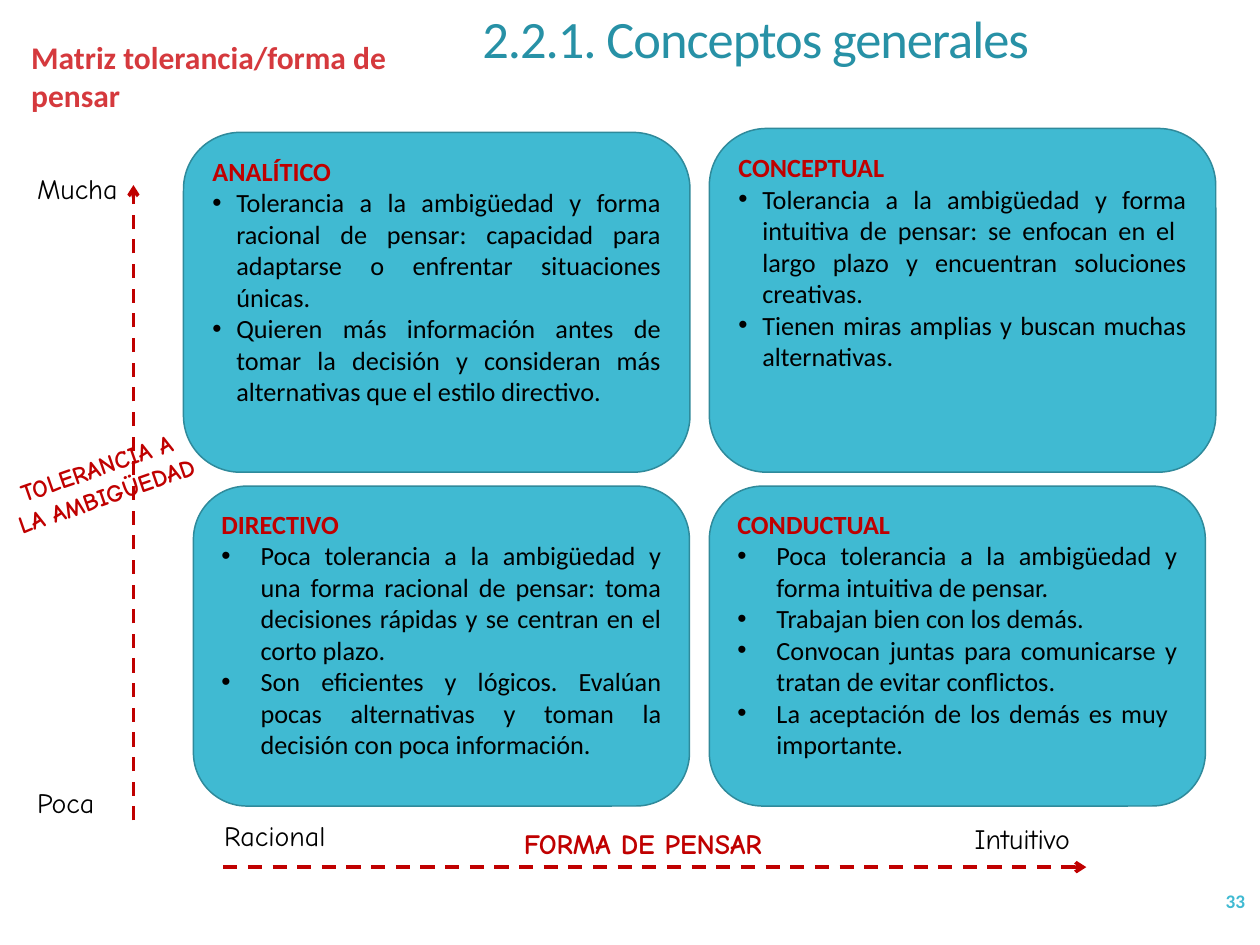
from lxml.etree import SubElement
from pptx import Presentation
from pptx.dml.color import RGBColor
from pptx.enum.dml import MSO_LINE
from pptx.enum.shapes import MSO_CONNECTOR, MSO_SHAPE
from pptx.enum.text import MSO_ANCHOR, PP_ALIGN
from pptx.oxml.ns import qn
from pptx.util import Cm, Pt

TEAL = RGBColor(0x40, 0xBA, 0xD2)
EDGE = RGBColor(0x2F, 0x8A, 0x9B)
DEEP = RGBColor(0x27, 0x91, 0xA6)
RED = RGBColor(0xC0, 0x00, 0x00)
CORAL = RGBColor(0xD5, 0x39, 0x3D)
BLACK = RGBColor(0, 0, 0)
BODY = "Calibri"
HAND = "Comic Neue"

# Quadrants: left, top, width, height, bullet indent (cm), heading, points
STYLES = [
    (14.3, 2.59, 10.21, 6.93, 0.48, "CONCEPTUAL", [
        "Tolerancia a la ambigüedad y forma intuitiva de pensar: se enfocan "
        "en el  largo plazo y encuentran soluciones creativas.",
        "Tienen miras amplias y buscan muchas alternativas."]),
    (3.7, 2.67, 10.21, 6.85, 0.48, "ANALÍTICO", [
        "Tolerancia a la ambigüedad y forma racional de pensar: capacidad "
        "para adaptarse o enfrentar situaciones únicas.",
        "Quieren más información antes de tomar la decisión y consideran más "
        "alternativas que el estilo directivo."]),
    (14.3, 9.8, 10, 6.45, 0.79, "CONDUCTUAL", [
        "Poca tolerancia a la ambigüedad y forma intuitiva de pensar.",
        "Trabajan bien con los demás.",
        "Convocan juntas para comunicarse y tratan de evitar conflictos.",
        "La aceptación de los demás es muy  importante."]),
    (3.9, 9.8, 10, 6.45, 0.79, "DIRECTIVO", [
        "Poca tolerancia a la ambigüedad y una forma racional de pensar: toma "
        "decisiones rápidas y se centran en el corto plazo.",
        "Son eficientes y lógicos. Evalúan pocas alternativas y toman la "
        "decisión con poca información."]),
]

# Axis end labels: left, top, width (cm), text
ENDS = [
    (4.27, 16.38, 2.72, "Racional"),
    (19.4, 16.43, 2.84, "Intuitivo"),
    (0.5, 15.72, 1.73, "Poca"),
    (0.5, 3.33, 2.26, "Mucha"),
]


def add_run(para, text, size, color, font=BODY, bold=False):
    run = para.add_run()
    run.text = text
    run.font.name = font
    run.font.size = Pt(size)
    run.font.bold = bold
    run.font.color.rgb = color
    return run


def add_label(slide, box, text, size, color, font=BODY, bold=False,
              align=PP_ALIGN.LEFT, wrap=True):
    label = slide.shapes.add_textbox(*map(Cm, box))
    label.text_frame.word_wrap = wrap
    para = label.text_frame.paragraphs[0]
    para.alignment = align
    add_run(para, text, size, color, font, bold)
    return label


def add_bullet(para, indent):
    props = para._p.get_or_add_pPr()
    props.set("marL", str(Cm(indent)))
    props.set("indent", str(-Cm(indent)))
    SubElement(props, qn("a:buFont")).set("typeface", "Arial")
    SubElement(props, qn("a:buChar")).set("char", "•")


def add_style(slide, left, top, width, height, indent, name, points):
    card = slide.shapes.add_shape(MSO_SHAPE.ROUNDED_RECTANGLE,
                                  *map(Cm, (left, top, width, height)))
    card.shadow.inherit = False
    card.fill.solid()
    card.fill.fore_color.rgb = TEAL
    card.line.color.rgb = EDGE
    card.line.width = Pt(0.85)
    frame = card.text_frame
    frame.word_wrap = True
    frame.vertical_anchor = MSO_ANCHOR.TOP
    head = frame.paragraphs[0]
    head.alignment = PP_ALIGN.LEFT
    add_run(head, name, 15, RED, bold=True)
    for point in points:
        para = frame.add_paragraph()
        add_bullet(para, indent)
        para.alignment = PP_ALIGN.JUSTIFY
        add_run(para, point, 15, BLACK)


def add_axis(slide, *ends):
    axis = slide.shapes.add_connector(MSO_CONNECTOR.STRAIGHT, *map(Cm, ends))
    axis.line.color.rgb = RED
    axis.line.width = Pt(2)
    axis.line.dash_style = MSO_LINE.DASH
    SubElement(axis.line._get_or_add_ln(), qn("a:tailEnd")).set("type", "arrow")
    SubElement(axis._element.spPr, qn("a:effectLst"))


def set_title(slide, text):
    title = slide.shapes.title
    title.left, title.top, title.width, title.height = map(
        Cm, (9.47, 0.03, 13, 1.63))
    title.text_frame.vertical_anchor = MSO_ANCHOR.MIDDLE
    para = title.text_frame.paragraphs[0]
    para.alignment = PP_ALIGN.LEFT
    para.line_spacing = 0.9
    run = add_run(para, text, 30, DEEP)
    run.font._element.set("spc", "-60")


def main():
    deck = Presentation()
    deck.slide_width, deck.slide_height = Cm(25.4), Cm(19.05)
    slide = deck.slides.add_slide(deck.slide_layouts[5])

    # Headings
    set_title(slide, "2.2.1. Conceptos generales")
    add_label(slide, (0.38, 0.64, 9.4, 1.8),
              "Matriz tolerancia/forma de pensar", 18, CORAL, bold=True)

    # Axes
    add_axis(slide, 2.69, 16.54, 2.69, 3.73)
    add_axis(slide, 4.5, 17.48, 21.9, 17.48)

    # Quadrants
    for style in STYLES:
        add_style(slide, *style)

    # Axis names and ends
    add_label(slide, (10.31, 16.54, 6.17, 0.94), "FORMA DE PENSAR", 16, RED,
              HAND, True, PP_ALIGN.JUSTIFY, wrap=False)
    name = add_label(slide, (0, 8.97, 4.29, 2.06),
                     "TOLERANCIA A LA AMBIGÜEDAD", 14, RED, HAND, True,
                     PP_ALIGN.CENTER)
    name.rotation = 340.8
    for left, top, width, text in ENDS:
        add_label(slide, (left, top, width, 0.94), text, 16, BLACK, HAND,
                  align=PP_ALIGN.JUSTIFY, wrap=False)

    # Page number
    page = add_label(slide, (22.15, 17.65, 3.2, 1.02), "33", 11, TEAL,
                     bold=True, align=PP_ALIGN.RIGHT)
    page.text_frame.vertical_anchor = MSO_ANCHOR.MIDDLE

    deck.save("out.pptx")


if __name__ == "__main__":
    main()
